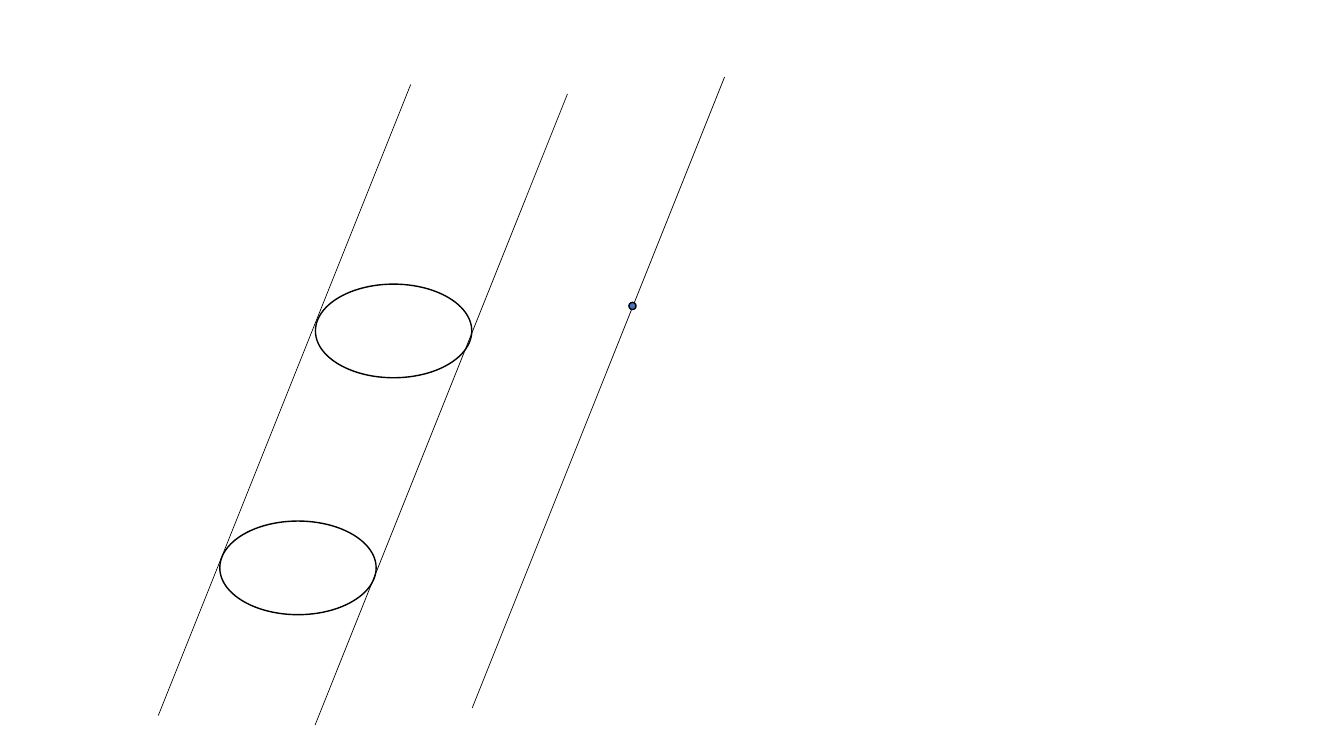
from dataclasses import dataclass

from lxml import etree
from pptx import Presentation
from pptx.dml.color import RGBColor
from pptx.enum import shapes
from pptx.oxml import ns
from pptx.util import Cm, Pt

BLACK = "000000"
BLUE = "4472C4"
LINE_RUN, LINE_DROP = 6.36, 15.9


@dataclass
class Oval:
    left: float
    top: float
    width: float = 3.94
    height: float = 2.36
    preset: shapes.MSO_SHAPE = shapes.MSO_SHAPE.OVAL
    fill: str | None = None


@dataclass
class SlantedLine:
    top_x: float
    top_y: float


def set_colour(colour_format, value: str) -> None:
    colour_format.rgb = RGBColor.from_string(value)


def draw_oval(slide, oval: Oval) -> None:
    shape = slide.shapes.add_shape(
        oval.preset, Cm(oval.left), Cm(oval.top), Cm(oval.width), Cm(oval.height)
    )
    shape.shadow.inherit = False
    if oval.fill:
        shape.fill.solid()
        set_colour(shape.fill.fore_color, oval.fill)
    else:
        shape.fill.background()
    set_colour(shape.line.color, BLACK)
    shape.line.width = Pt(1)


def draw_line(slide, line: SlantedLine) -> None:
    connector = slide.shapes.add_connector(
        shapes.MSO_CONNECTOR.STRAIGHT,
        Cm(line.top_x),
        Cm(line.top_y),
        Cm(line.top_x - LINE_RUN),
        Cm(line.top_y + LINE_DROP),
    )
    set_colour(connector.line.color, BLACK)
    connector.line.width = Pt(0.5)
    etree.SubElement(connector._element.spPr, ns.qn("a:effectLst"))


def main() -> None:
    presentation = Presentation()
    presentation.slide_width = Cm(33.87)
    presentation.slide_height = Cm(19.05)
    slide = presentation.slides.add_slide(presentation.slide_layouts[6])

    upper_section = Oval(7.95, 7.16)
    lower_section = Oval(5.54, 13.13)
    point = Oval(15.85, 7.62, 0.18, 0.18, shapes.MSO_SHAPE.FLOWCHART_CONNECTOR, BLUE)
    point_line = SlantedLine(18.26, 1.94)
    right_edge = SlantedLine(14.3, 2.37)
    left_edge = SlantedLine(10.35, 2.13)

    draw_oval(slide, upper_section)
    draw_line(slide, point_line)
    draw_oval(slide, point)
    for edge in (right_edge, left_edge):
        draw_line(slide, edge)
    draw_oval(slide, lower_section)

    presentation.save("out.pptx")


if __name__ == "__main__":
    main()
